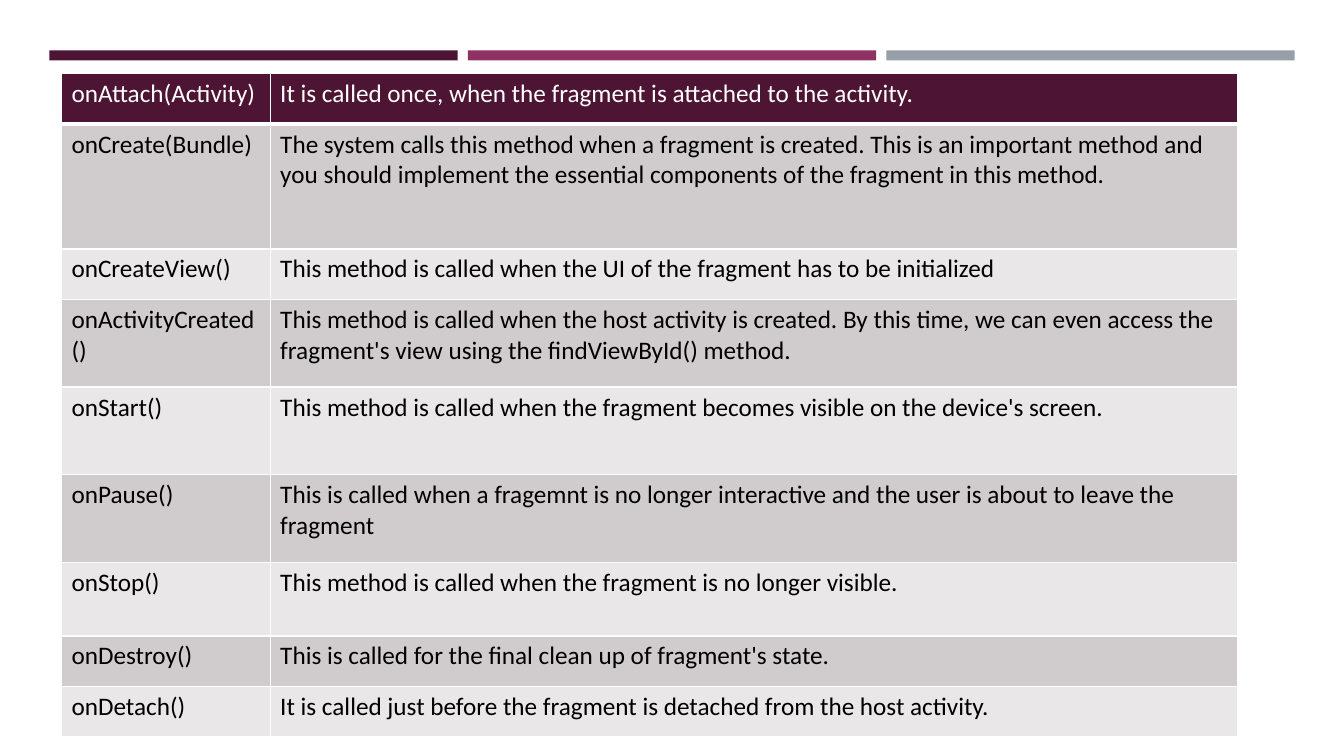
from lxml import etree
from pptx import Presentation
from pptx.dml.color import RGBColor
from pptx.enum import shapes
from pptx.oxml import ns
from pptx.util import Inches, Pt

COLORS = {
    "plum": "4D1434",
    "magenta": "903163",
    "slate": "969FA7",
    "dark_band": "D0CCCE",
    "light_band": "E9E7E8",
    "white": "FFFFFF",
    "black": "000000",
}


def rgb(name):
    return RGBColor.from_string(COLORS[name])


def add_border(cell, side, points):
    line = etree.SubElement(cell._tc.get_or_add_tcPr(), ns.qn(f"a:{side}"), w=str(Pt(points)))
    fill = etree.SubElement(line, ns.qn("a:solidFill"))
    etree.SubElement(fill, ns.qn("a:srgbClr"), val=COLORS["white"])


deck = Presentation()
deck.slide_width = Inches(13.33)
deck.slide_height = Inches(7.5)
page = deck.slides.add_slide(deck.slide_layouts[6])

# Three bars across the top
for i, color in enumerate(["plum", "magenta", "slate"]):
    bar = page.shapes.add_shape(
        shapes.MSO_SHAPE.RECTANGLE,
        Inches(0.49 + i * 4.15), Inches(0.5), Inches(4.05), Inches(0.1),
    )
    bar.shadow.inherit = False
    bar.fill.solid()
    bar.fill.fore_color.rgb = rgb(color)
    bar.line.fill.background()

# Fragment methods: row height, method, description
methods = [
    (0.5, "onAttach(Activity)",
     "It is called once, when the fragment is attached to the activity."),
    (1.24, "onCreate(Bundle)",
     "The system calls this method when a fragment is created. This is an important method and "
     "you should implement the essential components of the fragment in this method."),
    (0.5, "onCreateView()",
     "This method is called when the UI of the fragment has to be initialized"),
    (0.87, "onActivityCreated()",
     "This method is called when the host activity is created. By this time, we can even access "
     "the fragment's view using the findViewById() method."),
    (0.87, "onStart()",
     "This method is called when the fragment becomes visible on the device's screen."),
    (0.87, "onPause()",
     "This is called when a fragemnt is no longer interactive and the user is about to leave "
     "the fragment"),
    (0.73, "onStop()", "This method is called when the fragment is no longer visible."),
    (0.5, "onDestroy()", "This is called for the final clean up of fragment's state."),
    (0.5, "onDetach()",
     "It is called just before the fragment is detached from the host activity."),
]

# Table
table = page.shapes.add_table(
    len(methods), 2, Inches(0.61), Inches(0.73), Inches(11.67),
    Inches(sum(height for height, *_ in methods)),
).table
for column, width in zip(table.columns, [2.07, 9.6]):
    column.width = Inches(width)

for r, (height, *texts) in enumerate(methods):
    table.rows[r].height = Inches(height)
    if r == 0:
        band, ink = "plum", "white"
    else:
        band, ink = ("dark_band" if r % 2 else "light_band"), "black"
    for c, words in enumerate(texts):
        cell = table.cell(r, c)
        # The rule under the header row is heavier
        add_border(cell, "lnL", 1)
        add_border(cell, "lnR", 1)
        add_border(cell, "lnT", 3 if r == 1 else 1)
        add_border(cell, "lnB", 3 if r == 0 else 1)
        cell.fill.solid()
        cell.fill.fore_color.rgb = rgb(band)
        span = cell.text_frame.paragraphs[0].add_run()
        span.text = words
        span.font.name = "Calibri"
        span.font.size = Pt(18)
        span.font.bold = False
        span.font.color.rgb = rgb(ink)

deck.save("out.pptx")
